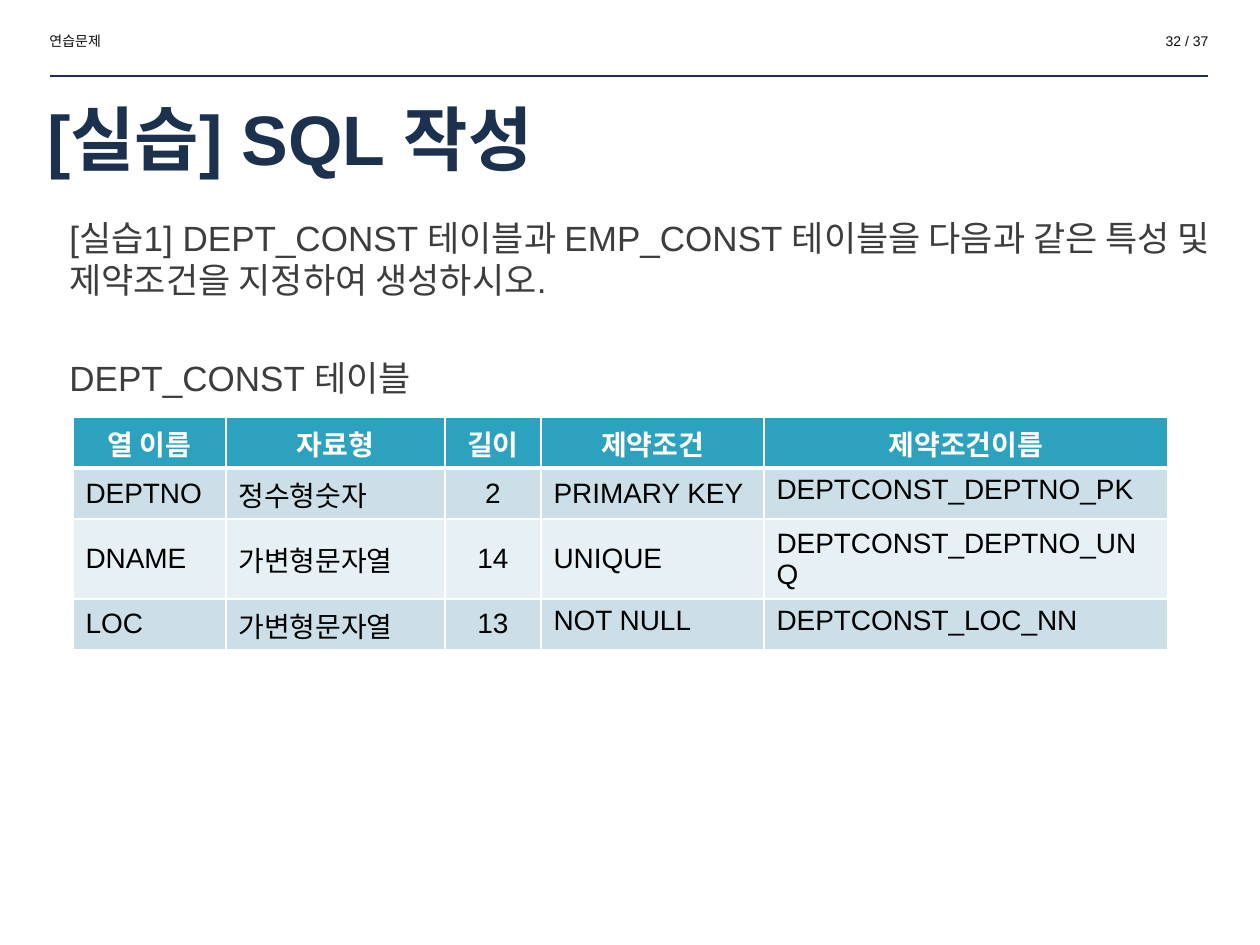
import pptx
import pptx.dml.color
import pptx.enum.shapes
import pptx.enum.text
import pptx.oxml
import pptx.oxml.ns
import pptx.util

PX = 914400 / 126
HUES = {
    "navy": "1C314E", "ink": "0C0C0C", "gray": "3D3C3E", "white": "FFFFFF",
    "black": "000000", "teal": "2DA2BF", "dark": "CCDFE8", "light": "E7F0F4",
}
ALIGN = pptx.enum.text.PP_ALIGN
ANCHOR = pptx.enum.text.MSO_ANCHOR
COLS = [153, 219, 96, 223, 404]
ROWS = [
    ["열 이름", "자료형", "길이", "제약조건", "제약조건이름"],
    ["DEPTNO", "정수형숫자", "2", "PRIMARY KEY", "DEPTCONST_DEPTNO_PK"],
    ["DNAME", "가변형문자열", "14", "UNIQUE", "DEPTCONST_DEPTNO_UNQ"],
    ["LOC", "가변형문자열", "13", "NOT NULL", "DEPTCONST_LOC_NN"],
]
TOPS = {(1, 4), (3, 3), (3, 4)}


def emu(num):
    """Turn px into EMU."""
    return pptx.util.Emu(round(num * PX))


def hue(name):
    """Give the named colour."""
    return pptx.dml.color.RGBColor.from_string(HUES[name])


def style(para, size, tint, bold=False, align=ALIGN.LEFT):
    """Format one paragraph and its runs."""
    para.alignment = align
    look = {"name": "Arial", "size": pptx.util.Pt(size), "bold": bold}
    for run in para.runs:
        for key, value in look.items():
            setattr(run.font, key, value)
        run.font.color.rgb = hue(tint)


def write(slide, box, lines, size, tint, bold=False, align=ALIGN.LEFT,
          anchor=ANCHOR.TOP, gap=0):
    """Place a text box with one paragraph for each line."""
    frame = slide.shapes.add_textbox(*map(emu, box)).text_frame
    for key, value in {"word_wrap": True, "vertical_anchor": anchor}.items():
        setattr(frame, key, value)
    for num, line in enumerate(lines):
        para = frame.add_paragraph() if num else frame.paragraphs[0]
        para.text = line
        style(para, size, tint, bold, align)
        if num:
            para.space_before = pptx.util.Pt(gap)


def edge(cell, sides):
    """Draw white borders of the given point widths."""
    props = cell._tc.get_or_add_tcPr()
    for num, (side, width) in enumerate(sides.items()):
        props.insert(num, pptx.oxml.parse_xml(
            f'<a:ln{side} {pptx.oxml.ns.nsdecls("a")} w="{width * 12700}">'
            f'<a:solidFill><a:srgbClr val="{HUES["white"]}"/></a:solidFill>'
            f'</a:ln{side}>'))


def header(slide, box):
    """Place the section name, page number and rule."""
    left, top, width, height = box
    part = 218
    write(slide, (left, top, part, 30), ["연습문제"], 8, "ink")
    write(slide, (left + width - part, top, part, 30), ["32 / 37"], 8, "ink",
          align=ALIGN.RIGHT)
    base = top + height
    rule = slide.shapes.add_connector(
        pptx.enum.shapes.MSO_CONNECTOR.STRAIGHT,
        *map(emu, (left + 13, base, left + width - 13, base)))
    rule.line.color.rgb = hue("navy")
    rule.line.width = pptx.util.Pt(0.75)
    rule._element.spPr.append(pptx.oxml.parse_xml(
        f'<a:effectLst {pptx.oxml.ns.nsdecls("a")}/>'))


def grid(slide, box):
    """Place the table of columns and constraints."""
    table = slide.shapes.add_table(
        len(ROWS), len(COLS), *map(emu, box)).table
    for col, width in zip(table.columns, COLS):
        col.width = emu(width)
    for r, line in enumerate(ROWS):
        table.rows[r].height = emu(box[3] / len(ROWS))
        head = r == 0
        fill = "teal" if head else "dark" if r % 2 else "light"
        for c, text in enumerate(line):
            cell = table.cell(r, c)
            cell.text = text
            high = head or (r, c) in TOPS
            cell.vertical_anchor = ANCHOR.TOP if high else ANCHOR.MIDDLE
            cell.fill.solid()
            cell.fill.fore_color.rgb = hue(fill)
            style(cell.text_frame.paragraphs[0], 16,
                  "white" if head else "black", head,
                  ALIGN.CENTER if head or c == 2 else ALIGN.LEFT)
            edge(cell, {"L": 1, "R": 1, "T": 3 if r == 1 else 1,
                        "B": 3 if head else 1})


def main():
    """Build and save the slide."""
    deck = pptx.Presentation()
    deck.slide_width, deck.slide_height = emu(1260), emu(945)
    slide = deck.slides.add_slide(deck.slide_layouts[6])
    header(slide, (37, 26, 1184, 50))
    write(slide, (35, 97, 964, 81), ["[실습] SQL 작성"], 40, "navy", True,
          anchor=ANCHOR.MIDDLE)
    write(slide, (57, 210, 1167, 494), [
        "[실습1] DEPT_CONST 테이블과 EMP_CONST 테이블을 다음과 같은 "
        "특성 및 제약조건을 지정하여 생성하시오.",
        "DEPT_CONST 테이블"], 20, "gray", gap=32)
    grid(slide, (73, 417, sum(COLS), 204))
    deck.save("out.pptx")


if __name__ == "__main__":
    main()
